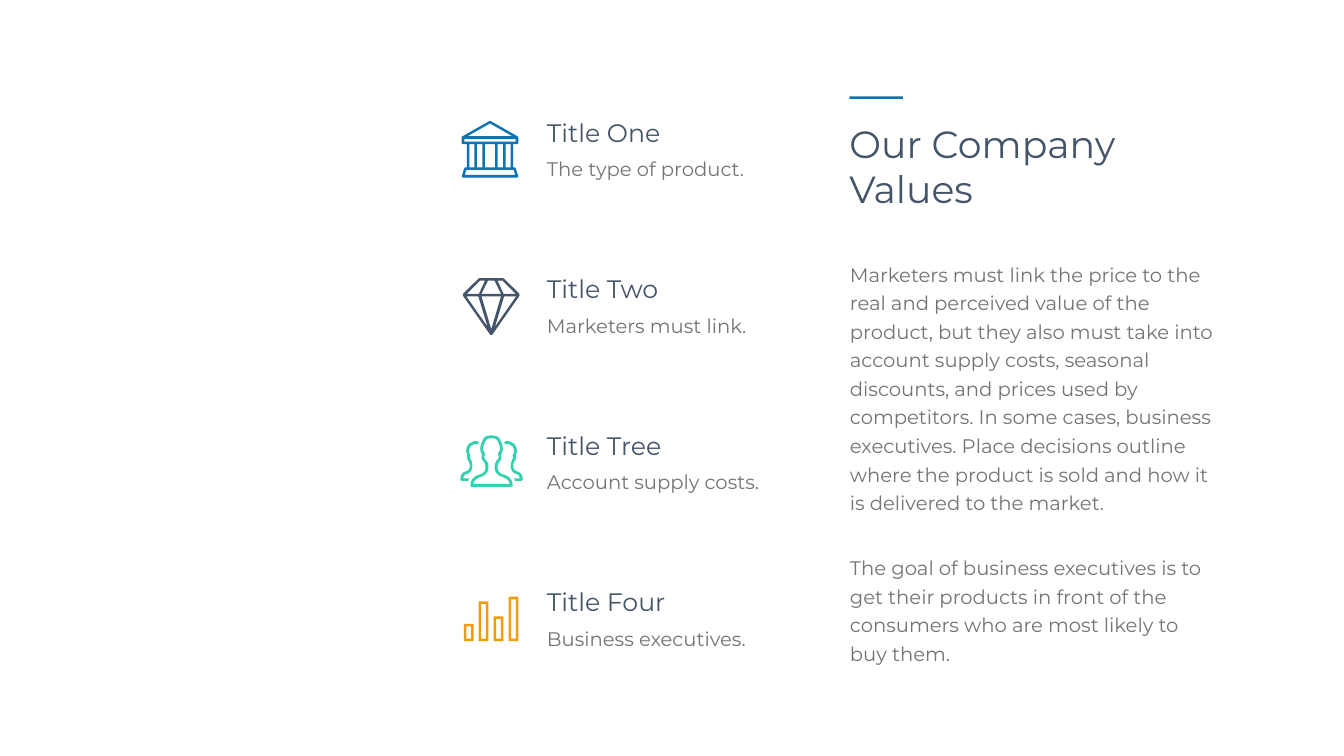
from dataclasses import dataclass

from pptx import Presentation
from pptx.dml.color import RGBColor
from pptx.enum.shapes import MSO_SHAPE
from pptx.slide import Slide
from pptx.util import Pt

Point = tuple[float, float]
Outline = list[Point]

RECTANGLE = MSO_SHAPE.RECTANGLE
FONT = "Montserrat"
BLUE, NAVY, GREEN, ORANGE = "0D73B2", "445469", "33D1AD", "F19A14"
GRAY = "737572"
STROKE = 3.6
CURVE_STEPS = 6
ROW_TOP, ROW_PITCH = 163.6, 223.7
SUBTITLE_OFFSET = 57.2


@dataclass
class Icon:
    """Outlines in points, measured from (left, top); inner ones are holes."""
    left: float
    top: float
    color: str
    outlines: list[Outline]


@dataclass
class Value:
    title: str
    subtitle: str
    icon: Icon


def rgb(color: str) -> RGBColor:
    return RGBColor.from_string(color)


def rectangle(left: float, top: float, width: float, height: float) -> Outline:
    right, bottom = left + width, top + height
    return [(left, top), (right, top), (right, bottom), (left, bottom)]


def mirror(points: Outline) -> Outline:
    return [(-x, y) for x, y in reversed(points)]


def symmetric(*half: Point) -> Outline:
    """Close a right half, listed top to bottom, with its mirror image."""
    return [*half, *mirror(list(half))]


def curve(start: Point, *segments: tuple[float, ...]) -> Outline:
    """Flatten a path; a segment is a line end or two controls and an end."""
    points = [start]
    for segment in segments:
        if len(segment) == 2:
            points.append(segment)
            continue
        x0, y0 = points[-1]
        x1, y1, x2, y2, x3, y3 = segment
        for step in range(1, CURVE_STEPS + 1):
            t = step / CURVE_STEPS
            a, b, c, d = (1 - t) ** 3, 3 * t * (1 - t) ** 2, 3 * t * t * (1 - t), t ** 3
            points.append((a * x0 + b * x1 + c * x2 + d * x3,
                           a * y0 + b * y1 + c * y2 + d * y3))
    return points


def bank_outlines() -> list[Outline]:
    columns = [(0, 14.4), (14.8, 7.6), (-14.8, 7.6), (25.9, 7.2), (-25.9, 7.2)]
    return [
        symmetric((0, 0), (1, 0.2), (40, 22.3), (40.4, 23.5), (40.4, 32), (39.4, 33.1),
                  (33.1, 33.1), (33.1, 66.2), (35.3, 66.2), (36.7, 67.4),
                  (40.4, 79.2), (39, 81)),
        symmetric((0, 3.6), (31.7, 21.6)),
        symmetric((36.7, 25.9), (36.7, 29.5)),
        symmetric((33.8, 69.8), (36, 77)),
        *(rectangle(center - width / 2, 33.1, width, 33.1) for center, width in columns),
    ]


def diamond_outlines() -> list[Outline]:
    lower_facet = [(5.4, 69.1), (18.4, 25.9), (35.6, 25.9)]
    upper_facet = [(9, STROKE), (16.2, STROKE), (35, 22.3), (17.6, 22.3)]
    return [
        symmetric((17, 0), (18.4, 0.7), (40.2, 22.3), (40.4, 25), (1.6, 80.6), (0, 81.2)),
        symmetric((14, 25.9), (0, 72.7)),
        symmetric((4.7, STROKE), (14, 22.3)),
        lower_facet, mirror(lower_facet),
        upper_facet, mirror(upper_facet),
    ]


def people_outlines() -> list[Outline]:
    front = curve(
        (0, 0), (3.5, 0, 6.5, 0.5, 7.9, 1.4), (10.8, 2.9, 12.2, 5, 13.7, 9.4),
        (17.3, 16.6, 16.6, 23, 13.7, 26.6), (15.1, 33.1, 13, 35.3, 13, 35.3),
        (11.5, 36.7, 8.6, 39.6, 8.6, 46.1), (8.6, 53.3, 15.8, 55.4, 15.8, 55.4),
        (20.9, 56.9, 30.2, 59.8, 30.2, 71.3), (30.2, 71.3, 30.2, 73.4, 28.1, 73.4))
    front_hole = curve(
        (0, 4), (2, 4, 4, 4, 5.8, 5), (7.2, 5.8, 8.6, 7.2, 10.1, 10.8),
        (13.7, 18.7, 11.5, 23, 10.1, 24.5), (9.4, 25.2, 9.4, 26.6, 9.4, 27.4),
        (10.8, 31, 10.1, 32.4, 10.1, 32.4), (10.1, 32.4, 9.4, 33.1, 9.4, 33.8),
        (7.2, 35.3, 4.3, 38.9, 4.3, 46.1), (4.3, 54, 11.5, 58.3, 15.1, 59),
        (20.2, 61.2, 25.2, 63.4, 25.9, 69.1))
    side = curve(
        (36, 51.1), (36, 51.1, 31, 49.7, 31, 43.9), (31, 38.9, 33.1, 36.7, 33.8, 35.3),
        (33.8, 35.3, 35.3, 33.8, 34.6, 28.8), (35.3, 26.6, 37.4, 21.6, 35.3, 17.3),
        (33.8, 13, 32.4, 11.5, 28.8, 10.1), (28.1, 9.4, 25.2, 7.9, 22.3, 7.9),
        (20.9, 7.9, 19.4, 8.6, 18, 9.4), (18.7, 10.1, 18.7, 11.5, 19.4, 13),
        (20.2, 12.2, 20.9, 12.2, 22.3, 12.2), (24.5, 12.2, 26.6, 13, 26.6, 13.7),
        (29.5, 14.4, 30.2, 15.1, 31.7, 19.4), (33.1, 21.6, 31.7, 25.2, 31, 26.6),
        (30.2, 27.4, 30.2, 28.8, 30.2, 29.5), (31, 31.7, 31, 33.1, 30.2, 33.1),
        (29.5, 34.6, 27.4, 37.4, 27.4, 43.9), (27.4, 51.1, 31.7, 54, 34.6, 54.7),
        (37.4, 55.4, 39.6, 56.9, 40.3, 61.2), (31.7, 61.2),
        (32.4, 61.9, 33.1, 63.4, 33.1, 64.8), (42.5, 64.8),
        (44.6, 64.8, 44.6, 62.6, 44.6, 62.6), (44.6, 54.7, 39.6, 51.8, 36, 51.1))
    return [symmetric(*front), symmetric(*front_hole), side, mirror(side)]


def bars_outlines() -> list[Outline]:
    pitch, width, base = 21.3, 14, 63.4
    outlines = []
    for index, height in enumerate((24.5, 56.9, 35.3, 63.4)):
        for inset in (0, STROKE):
            outlines.append(rectangle(index * pitch + inset, base - height + inset,
                                      width - 2 * inset, height - 2 * inset))
    return outlines


def draw_icon(slide: Slide, icon: Icon) -> None:
    first, *others = [[(x * 100, y * 100) for x, y in outline] for outline in icon.outlines]
    builder = slide.shapes.build_freeform(*first[0], scale=Pt(0.01))
    builder.add_line_segments(first[1:], close=True)
    for outline in others:
        builder.move_to(*outline[0])
        builder.add_line_segments(outline[1:], close=True)
    paint(builder.convert_to_shape(Pt(icon.left), Pt(icon.top)), icon.color)


def paint(shape, color: str) -> None:
    shape.fill.solid()
    shape.fill.fore_color.rgb = rgb(color)
    shape.line.fill.background()
    shape.shadow.inherit = False


def add_text(slide: Slide, *texts: str, left: float, top: float, width: float,
             height: float, size: float, color: str, inset: Point = (7.2, 3.6),
             line_spacing: float | None = None, gap: float = 0) -> None:
    """Add a text box with one paragraph per text, gap points apart."""
    frame = slide.shapes.add_textbox(Pt(left), Pt(top), Pt(width), Pt(height)).text_frame
    frame.word_wrap = True
    frame.margin_left = frame.margin_right = Pt(inset[0])
    frame.margin_top = frame.margin_bottom = Pt(inset[1])
    for index, text in enumerate(texts):
        paragraph = frame.paragraphs[0] if index == 0 else frame.add_paragraph()
        paragraph.text = text
        paragraph.font.name = FONT
        paragraph.font.size = Pt(size)
        paragraph.font.color.rgb = rgb(color)
        if line_spacing:
            paragraph.line_spacing = Pt(line_spacing)
        if index:
            paragraph.space_before = Pt(gap)


VALUES = [
    Value("Title One", "The type of product.", Icon(699.84, 172.8, BLUE, bank_outlines())),
    Value("Title Two", "Marketers must link.", Icon(701.64, 397.44, NAVY, diamond_outlines())),
    Value("Title Tree", "Account supply costs.", Icon(702, 622.08, GREEN, people_outlines())),
    Value("Title Four", "Business executives.", Icon(662.4, 852.48, ORANGE, bars_outlines())),
]


def main() -> None:
    presentation = Presentation()
    presentation.slide_width, presentation.slide_height = Pt(1919.52), Pt(1080)
    slide = presentation.slides.add_slide(presentation.slide_layouts[6])

    add_text(slide, "Our Company Values", left=1206, top=168.5, width=411.8, height=138.2,
             size=54, color=NAVY)
    add_text(
        slide,
        "Marketers must link the price to the real and perceived value of the product, but "
        "they also must take into account supply costs, seasonal discounts, and prices used "
        "by competitors. In some cases, business executives. Place decisions outline where "
        "the product is sold and how it is delivered to the market.",
        "The goal of business executives is to get their products in front of the consumers "
        "who are most likely to buy them.",
        left=1196.6, top=359.3, width=556.6, height=607, size=28, color=GRAY,
        inset=(17.28, 8.64), line_spacing=40.8, gap=52)
    accent = slide.shapes.add_shape(RECTANGLE, Pt(1213.2), Pt(137.5), Pt(76.3), Pt(STROKE))
    paint(accent, BLUE)

    for row, value in enumerate(VALUES):
        top = ROW_TOP + row * ROW_PITCH
        add_text(slide, value.title, left=774, top=top, width=291.6, height=51,
                 size=36, color=NAVY)
        add_text(slide, value.subtitle, left=774, top=top + SUBTITLE_OFFSET, width=322,
                 height=41, size=28, color=GRAY)
        draw_icon(slide, value.icon)

    presentation.save("out.pptx")


if __name__ == "__main__":
    main()
